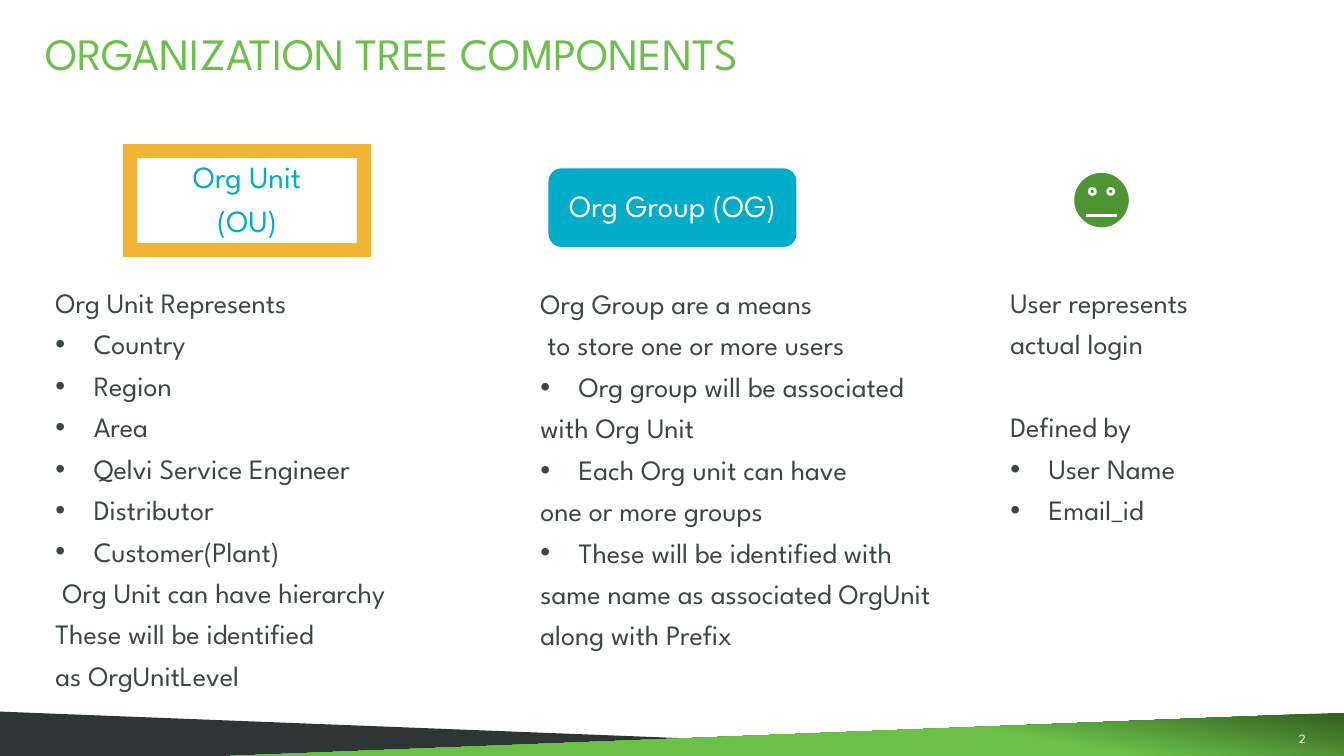
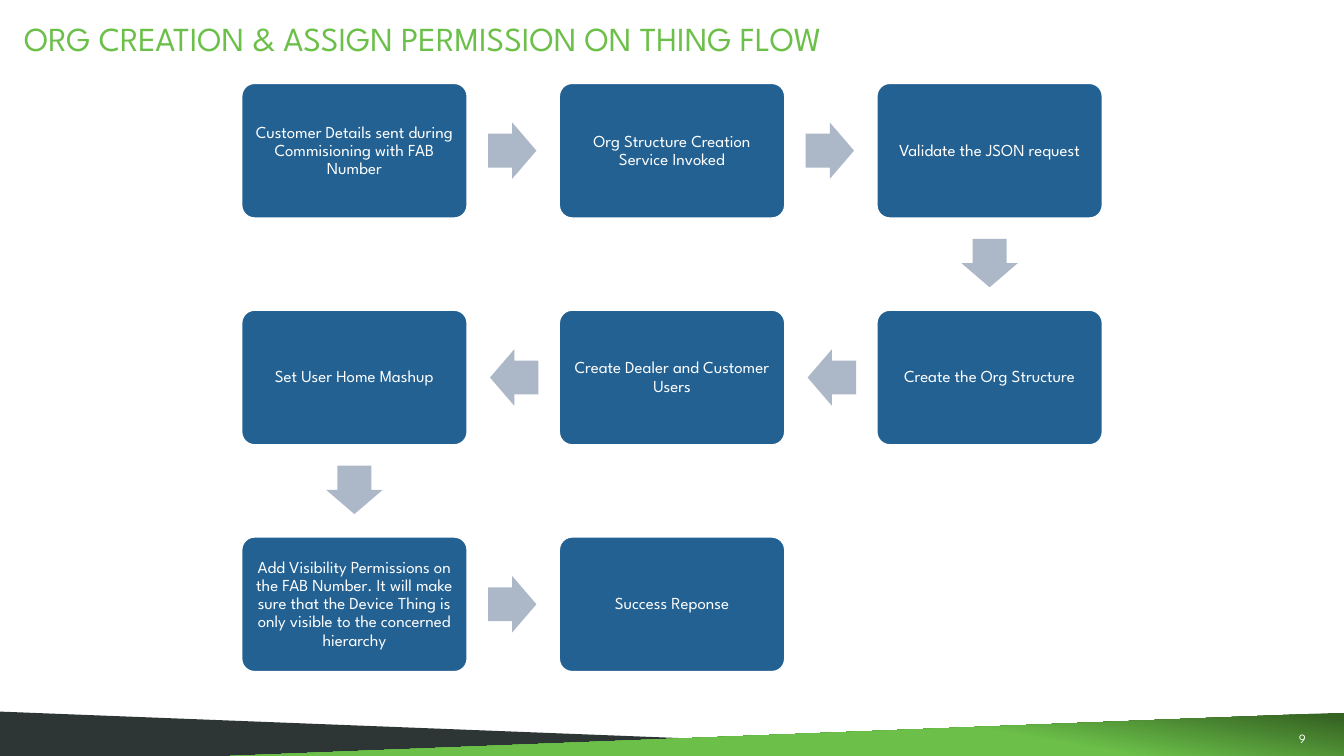
import math
from dataclasses import dataclass

from lxml import etree
from pptx import Presentation
from pptx import util as u
from pptx.dml.color import RGBColor
from pptx.enum import shapes, text
from pptx.oxml.ns import qn

INK = {
    "white": "FFFFFF", "green": "6CC04A", "forest": "356322", "leaf": "4F9434",
    "slate": "2E3535", "text": "3D4647", "teal": "00ACC8", "gold": "F1B434",
    "navy": "236192", "mist": "ACB7C7",
}
FONT = "League Spartan"
KIND = shapes.MSO_SHAPE
ALIGN = text.PP_ALIGN
ANCHOR = text.MSO_ANCHOR


@dataclass
class Box:
    left: float
    top: float
    width: float
    height: float

    def size(self) -> tuple:
        return tuple(map(u.Inches, (self.left, self.top, self.width, self.height)))


@dataclass
class Badge:
    kind: int
    box: Box
    fill: str
    label: str = ""
    ink: str = "white"


@dataclass
class Item:
    label: str
    dot: bool = False
    lead: float = 8  # space above, in points


@dataclass
class Column:
    slot: int
    box: Box
    items: list


# Shared helpers
def color(name: str) -> RGBColor:
    return RGBColor.from_string(INK[name])


def style(frame, size: float, ink: str, align=ALIGN.LEFT, line: float = 0.9,
          lead: float = 0, inset: tuple = (0.1, 0.05), anchor=ANCHOR.MIDDLE) -> None:
    frame.word_wrap = True
    frame.auto_size = text.MSO_AUTO_SIZE.NONE
    frame.vertical_anchor = anchor
    frame.margin_left = frame.margin_right = u.Inches(inset[0])
    frame.margin_top = frame.margin_bottom = u.Inches(inset[1])
    for para in frame.paragraphs:
        para.alignment, para.line_spacing = align, line
        para.space_before, para.space_after = u.Pt(lead), u.Pt(0)
        for run in para.runs:
            font = run.font
            font.name, font.size, font.bold = FONT, u.Pt(size), False
            font.color.rgb = color(ink)


def place(shape, box: Box) -> None:
    shape.left, shape.top, shape.width, shape.height = box.size()


def draw(slide, kind: int, box: Box, fill: str, edge: str = ""):
    shape = slide.shapes.add_shape(kind, *box.size())
    shape.shadow.inherit = False
    shape.fill.solid()
    shape.fill.fore_color.rgb = color(fill)
    if edge:
        shape.line.color.rgb = color(edge)
        shape.line.width = u.Pt(2)
    else:
        shape.line.fill.background()
    return shape


def bands(slide, page: str) -> None:
    draw(slide, KIND.RIGHT_TRIANGLE, Box(0, 7.06, 11.3, 0.44), "slate")
    right = draw(slide, KIND.RIGHT_TRIANGLE, Box(2.03, 7.07, 11.3, 0.44), "green")
    right._element.spPr.find(qn("a:xfrm")).set("flipH", "1")
    right.fill.gradient()
    right.fill.gradient_angle = 280
    for stop, (pos, name) in zip(right.fill.gradient_stops,
                                 ((0.02, "forest"), (0.33, "green"))):
        stop.position = pos
        stop.color.rgb = color(name)
    label = slide.shapes.add_textbox(*Box(12.3, 7.25, 0.65, 0.15).size())
    label.text_frame.text = page
    style(label.text_frame, 9, "white", ALIGN.RIGHT, 1, inset=(0, 0),
          anchor=ANCHOR.TOP)


def start(deck, layout: int, title: str, left: float, top: float,
          size: float, page: str):
    slide = deck.slides.add_slide(deck.slide_layouts[layout])
    bands(slide, page)
    head = slide.shapes.title
    place(head, Box(left, top, 11.22, 0.38))
    head.text_frame.text = title
    style(head.text_frame, size, "green", line=0.8, inset=(0, 0))
    return slide


def fill_list(slide, col: Column) -> None:
    body = slide.placeholders[col.slot]
    place(body, col.box)
    frame = body.text_frame
    frame.text = "\n".join(item.label for item in col.items)
    style(frame, 20, "text", anchor=ANCHOR.TOP)
    for para, item in zip(frame.paragraphs, col.items):
        para.space_before = u.Pt(item.lead)
        props = para._p.get_or_add_pPr()
        step = u.Inches(0.38) if item.dot else 0
        props.set("marL", str(step))
        props.set("indent", str(-step))
        mark = etree.SubElement(props, qn("a:buChar" if item.dot else "a:buNone"))
        if item.dot:
            mark.set("char", "•")


# Slide 1: tree components
BADGES = [
    Badge(KIND.ROUNDED_RECTANGLE, Box(5.44, 1.67, 2.46, 0.78), "teal",
          "Org Group (OG)"),
    Badge(KIND.FRAME, Box(1.22, 1.43, 2.46, 1.12), "gold",
          "Org Unit\n(OU)", "teal"),
]
COLUMNS = [
    Column(1, Box(0.45, 2.82, 4.41, 4.62), [
        Item("Org Unit Represents"),
        Item("Country", True),
        Item("Region", True),
        Item("Area", True),
        Item("Qelvi Service Engineer", True),
        Item("Distributor", True),
        Item("Customer(Plant)", True),
        Item(" Org Unit can have hierarchy"),
        Item("These will be identified"),
        Item("as OrgUnitLevel"),
    ]),
    Column(2, Box(5.26, 2.83, 4.96, 4.14), [
        Item("Org Group are a means"),
        Item(" to store one or more users"),
        Item("Org group will be associated", True),
        Item("with Org Unit"),
        Item("Each Org unit can have", True),
        Item("one or more groups"),
        Item("These will be identified with", True),
        Item("same name as associated OrgUnit"),
        Item("along with Prefix"),
    ]),
    Column(3, Box(9.92, 2.82, 2.23, 2.48), [
        Item("User represents"),
        Item("actual login"),
        Item("Defined by", lead=37.6),
        Item("User Name", True),
        Item("Email_id", True),
    ]),
]


def tree(deck) -> None:
    slide = start(deck, 4, "ORGANIZATION TREE COMPONENTS", 0.45, 0.38, 32, "2")
    for badge in BADGES:
        shape = draw(slide, badge.kind, badge.box, badge.fill)
        shape.text_frame.text = badge.label
        style(shape.text_frame, 22, badge.ink, ALIGN.CENTER, lead=8)
    user = draw(slide, KIND.SMILEY_FACE, Box(10.64, 1.7, 0.57, 0.57), "leaf", "white")
    user.adjustments[0] = 0
    for col in COLUMNS:
        fill_list(slide, col)
    spare = slide.placeholders[4]._element
    spare.getparent().remove(spare)


# Slide 2: snaking flow, three steps to a row
STEPS = [
    "Customer Details sent during Commisioning with FAB Number",
    "Org Structure Creation Service Invoked",
    "Validate the JSON request",
    "Create the Org Structure",
    "Create Dealer and Customer Users",
    "Set User Home Mashup",
    "Add Visibility Permissions on the FAB Number. It will make sure that "
    "the Device Thing is only visible to the concerned hierarchy",
    "Success Reponse",
]
FIRST = Box(2.39, 0.82, 2.25, 1.35)
PITCH = (3.15, 2.25)
ARROW = (0.48, 0.56)
BACK = 0.01  # arrows sit a little before the middle of the gap


def step_box(index: int) -> Box:
    row, col = divmod(index, 3)
    if row % 2:
        col = 2 - col
    return Box(FIRST.left + col * PITCH[0], FIRST.top + row * PITCH[1],
               FIRST.width, FIRST.height)


def arrow(slide, a: Box, b: Box) -> None:
    angle = math.atan2(b.top - a.top, b.left - a.left)
    mid_x = (a.left + b.left + a.width) / 2 - BACK * math.cos(angle)
    mid_y = (a.top + b.top + a.height) / 2 - BACK * math.sin(angle)
    wide, high = ARROW
    shape = draw(slide, KIND.RIGHT_ARROW,
                 Box(mid_x - wide / 2, mid_y - high / 2, wide, high), "mist")
    shape.adjustments[0], shape.adjustments[1] = 0.6, 0.5
    shape.rotation = math.degrees(angle)


def flow(deck) -> None:
    slide = start(deck, 5, "ORG CREATION & ASSIGN PERMISSION ON THING FLOW",
                  0.24, 0.23, 24, "9")
    for index, label in enumerate(STEPS):
        box = step_box(index)
        step = draw(slide, KIND.ROUNDED_RECTANGLE, box, "navy", "white")
        step.adjustments[0] = 0.1
        step.text_frame.text = label
        style(step.text_frame, 12, "white", ALIGN.CENTER, inset=(0.05, 0.05))
        if index:
            arrow(slide, step_box(index - 1), box)


deck = Presentation()
deck.slide_width, deck.slide_height = u.Inches(13.33), u.Inches(7.5)
tree(deck)
flow(deck)
deck.save("out.pptx")
